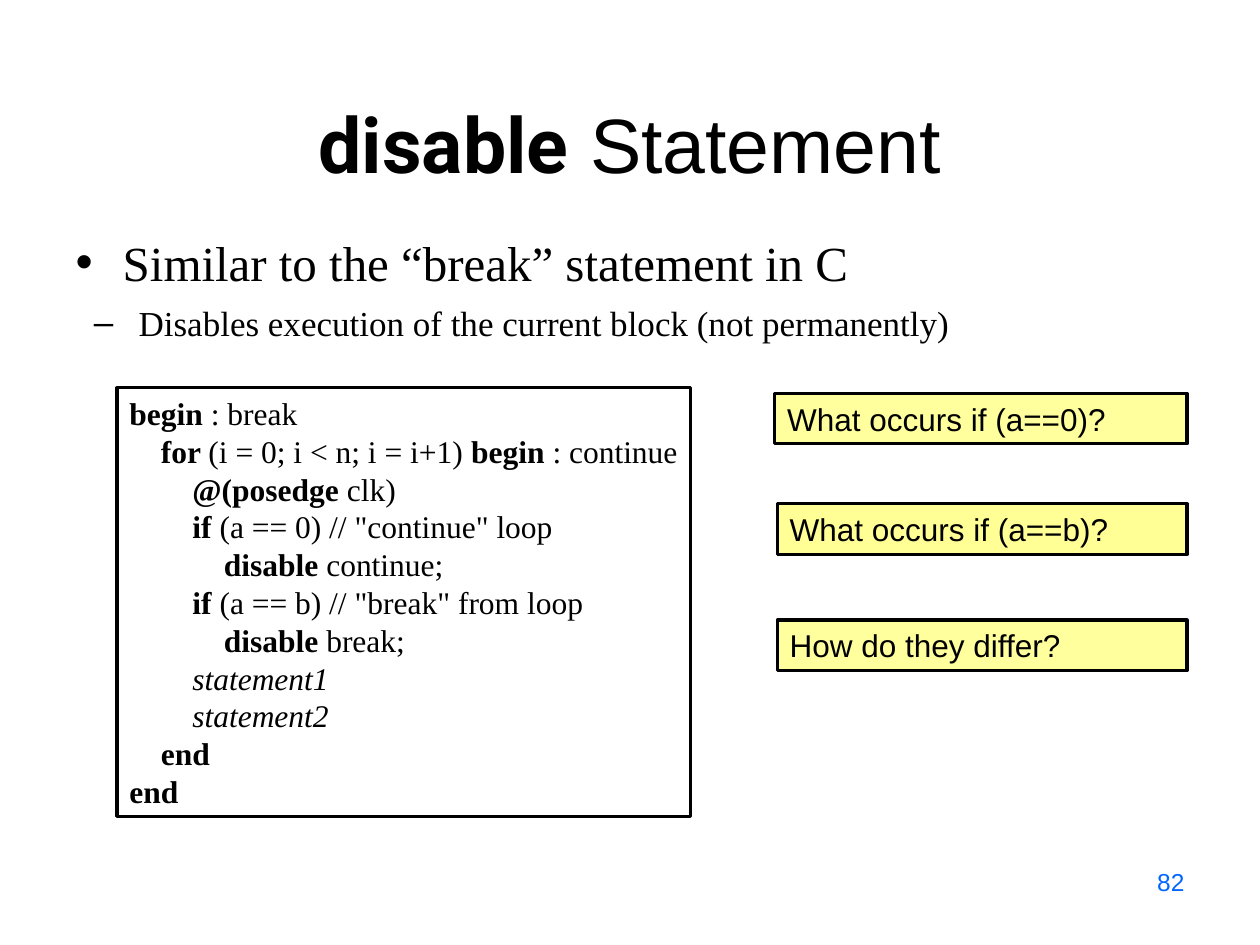
from lxml import etree
from pptx import Presentation
from pptx.dml.color import RGBColor
from pptx.enum.shapes import MSO_SHAPE
from pptx.enum.text import MSO_ANCHOR, MSO_AUTO_SIZE, PP_ALIGN
from pptx.oxml.ns import qn
from pptx.util import Cm, Pt

RECT = MSO_SHAPE.RECTANGLE
TOP, BOTTOM = MSO_ANCHOR.TOP, MSO_ANCHOR.BOTTOM
LEFT, CENTER, RIGHT = PP_ALIGN.LEFT, PP_ALIGN.CENTER, PP_ALIGN.RIGHT
NO_FIT = MSO_AUTO_SIZE.NONE

THEME = {
    "ink": RGBColor(0, 0, 0),
    "note": RGBColor(0xFF, 0xFF, 0),
    "number": RGBColor(0, 0x66, 0xFF),
    "sans": "Arial", "serif": "Times New Roman", "heading": "Roboto",
    "title": Pt(44), "point": Pt(28), "subpoint": Pt(20),
    "text": Pt(18), "small": Pt(14), "line": Pt(1.75),
}


def add_run(p, text, size, face, color="ink", bold=False, italic=False):
    r = p.add_run()
    r.text = text
    values = {"size": THEME[size], "name": THEME[face], "bold": bold, "italic": italic}
    for name, value in values.items():
        setattr(r.font, name, value)
    r.font.color.rgb = THEME[color]


def place(sp, left, top, width, height, anchor=TOP, wrap=True):
    """Position a shape in centimetres and return its prepared text frame."""
    sp.left, sp.top, sp.width, sp.height = map(Cm, (left, top, width, height))
    tf = sp.text_frame
    values = {"auto_size": NO_FIT, "word_wrap": wrap, "vertical_anchor": anchor}
    for name, value in values.items():
        setattr(tf, name, value)
    return tf


prs = Presentation()
prs.slide_width, prs.slide_height = Cm(25.4), Cm(19.05)
s = prs.slides.add_slide(prs.slide_layouts[1])

# Title
p = place(s.shapes.title, 1.27, 0.76, 22.86, 3.18, BOTTOM).paragraphs[0]
p.alignment = CENTER
add_run(p, "disable", "title", "heading", bold=True)
add_run(p, " Statement", "title", "sans")

# Bullet list: text, size, bullet, left margin, hanging indent, space before
points = [
    ("Similar to the “break” statement in C", "point", "•", 0.95, -0.95, 0),
    ("Disables execution of the current block (not permanently)",
     "subpoint", "–", 1.27, -0.9, 6),
]
tf = place(s.placeholders[1], 1.27, 4.55, 22.86, 2.64)
for level, (text, size, bullet, margin, indent, before) in enumerate(points):
    p = tf.add_paragraph() if level else tf.paragraphs[0]
    p.level = level
    pPr = p._p.get_or_add_pPr()
    pPr.set("marL", str(Cm(margin)))
    pPr.set("indent", str(Cm(indent)))
    etree.SubElement(pPr, qn("a:buChar")).set("char", bullet)
    p.space_before = Pt(before)
    add_run(p, text, size, "serif")

# Code listing: bold part, plain part, and so on in turn
code = [
    ("begin ", ": break"),
    ("    for ", "(i = 0; i < n; i = i+1) ", "begin ", ": continue"),
    ("        @(posedge ", "clk)"),
    ("        if ", '(a == 0) // "continue" loop'),
    ("            disable ", "continue;"),
    ("        if ", '(a == b) // "break" from loop'),
    ("            disable ", "break;"),
    ("        statement1",),
    ("        statement2",),
    ("    end",),
    ("end",),
]
sp = s.shapes.add_shape(RECT, 0, 0, 0, 0)
sp.shadow.inherit = False
sp.fill.background()
sp.line.color.rgb, sp.line.width = THEME["ink"], THEME["line"]
tf = place(sp, 2.36, 7.82, 11.56, 8.64, wrap=False)
for n, parts in enumerate(code):
    p = tf.add_paragraph() if n else tf.paragraphs[0]
    p.alignment, p.line_spacing = LEFT, Pt(21.6)
    for i, text in enumerate(parts):
        italic = "statement" in text
        add_run(p, text, "text", "serif", bold=i % 2 == 0 and not italic, italic=italic)

# Questions: text, left, top, opacity in percent
RIGHT_EDGE = 23.93
questions = [
    ("What occurs if (a==0)?", 15.62, 7.93, 38),
    ("What occurs if (a==b)?", 15.67, 10.16, 41),
    ("How do they differ?", 15.67, 12.5, 38),
]
for text, left, top, opacity in questions:
    sp = s.shapes.add_shape(RECT, 0, 0, 0, 0)
    sp.shadow.inherit = False
    sp.fill.solid()
    sp.fill.fore_color.rgb = THEME["note"]
    color = sp._element.spPr.find(qn("a:solidFill"))[0]
    etree.SubElement(color, qn("a:alpha")).set("val", str(opacity * 1000))
    sp.line.color.rgb, sp.line.width = THEME["ink"], THEME["line"]
    p = place(sp, left, top, RIGHT_EDGE - left, 1.02).paragraphs[0]
    p.alignment = LEFT
    add_run(p, text, "text", "sans")

# Slide number
p = place(s.shapes.add_textbox(0, 0, 0, 0), 18.2, 17.35, 5.93, 1.32).paragraphs[0]
p.alignment = RIGHT
add_run(p, "82", "small", "sans", "number")

prs.save("out.pptx")
